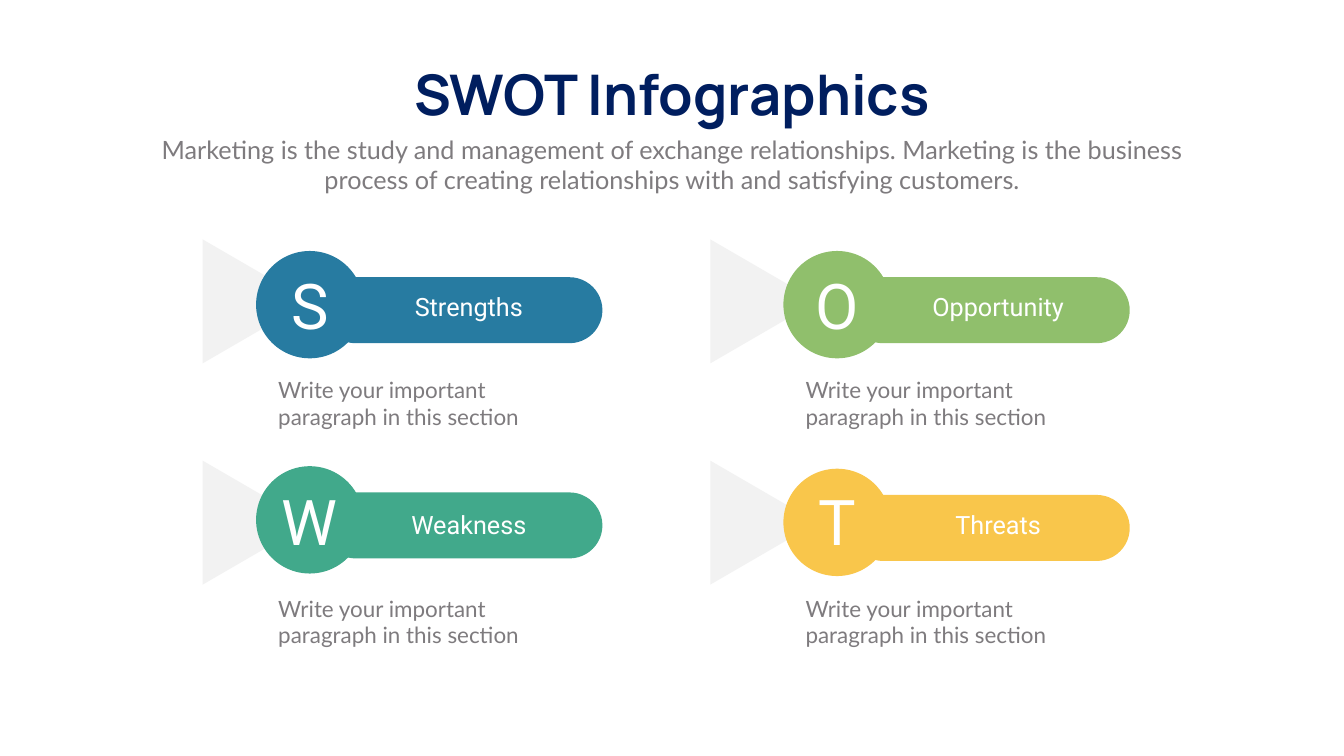
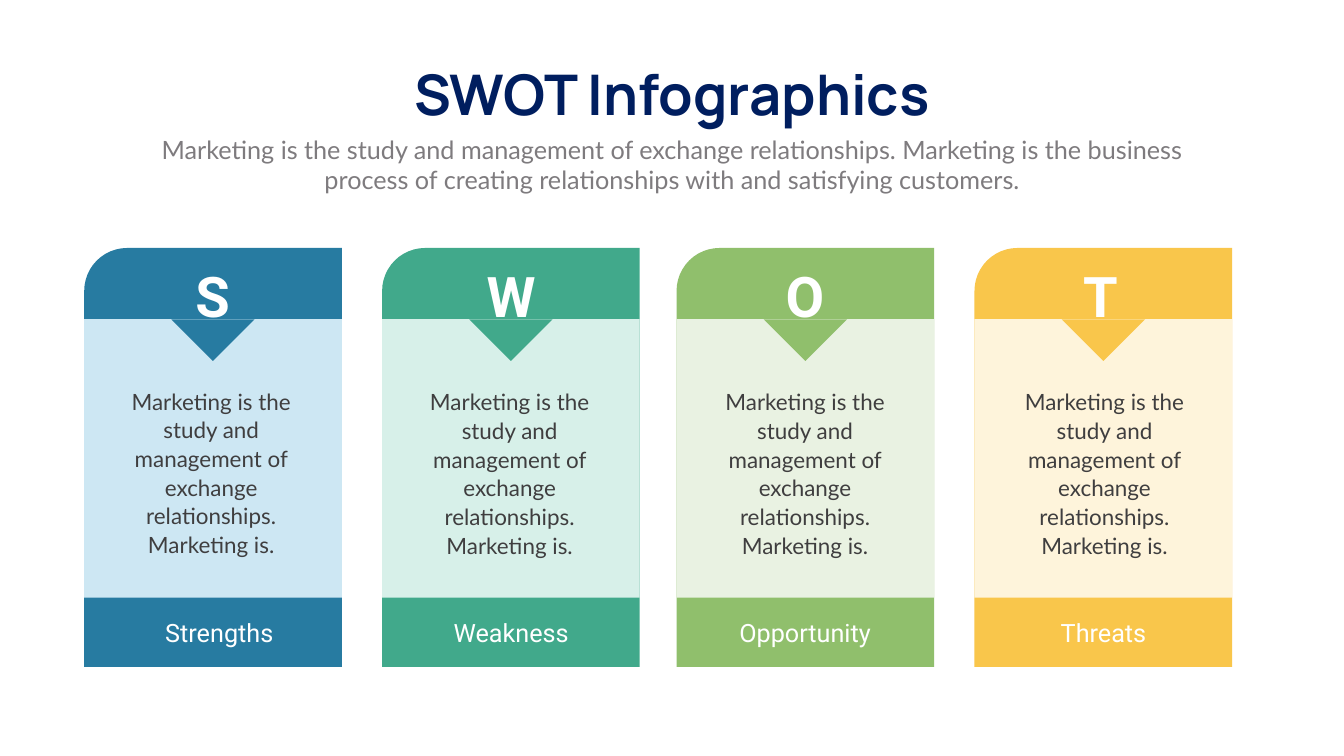
from dataclasses import dataclass

from pptx import Presentation
from pptx.dml.color import RGBColor
from pptx.enum.shapes import MSO_SHAPE
from pptx.enum.text import MSO_ANCHOR, MSO_AUTO_SIZE, PP_ALIGN
from pptx.oxml.ns import qn
from pptx.util import Inches, Pt

NAVY = RGBColor(0x00, 0x1E, 0x5F)
GREY = RGBColor(0x7E, 0x7B, 0x7E)
CHARCOAL = RGBColor(0x3F, 0x3E, 0x3F)
PALE_GREY = RGBColor(0xF2, 0xF2, 0xF2)
WHITE = RGBColor(0xFF, 0xFF, 0xFF)
BLUE = RGBColor(0x27, 0x7B, 0xA1)
TEAL = RGBColor(0x41, 0xA9, 0x8B)
GREEN = RGBColor(0x90, 0xBF, 0x6C)
YELLOW = RGBColor(0xF9, 0xC6, 0x4B)
PALE_BLUE = RGBColor(0xCD, 0xE7, 0xF3)
PALE_TEAL = RGBColor(0xD7, 0xF0, 0xE9)
PALE_GREEN = RGBColor(0xE9, 0xF2, 0xE2)
PALE_YELLOW = RGBColor(0xFE, 0xF4, 0xDB)

TITLE_FONT, BODY_FONT, LABEL_FONT = "Manrope", "Lato", "Roboto"

HEADING = "SWOT Infographics"
INTRO = ("Marketing is the study and management of exchange relationships. "
         "Marketing is the business process of creating relationships with "
         "and satisfying customers.")
NOTE = "Write your important paragraph in this section"
SUMMARY = ("Marketing is the study and management of exchange relationships. "
           "Marketing is.")


@dataclass
class Topic:
    name: str
    letter: str
    color: RGBColor
    tint: RGBColor


STRENGTHS = Topic("Strengths", "S", BLUE, PALE_BLUE)
WEAKNESS = Topic("Weakness", "W", TEAL, PALE_TEAL)
OPPORTUNITY = Topic("Opportunity", "O", GREEN, PALE_GREEN)
THREATS = Topic("Threats", "T", YELLOW, PALE_YELLOW)


class Deck:
    """Presentation style together with the slide being filled."""

    def __init__(self):
        self.presentation = Presentation()
        self.presentation.slide_width = Inches(26.66)
        self.presentation.slide_height = Inches(15)
        self.slide = None

    def start_slide(self):
        """Add a slide with the shared heading and introduction."""
        layout = self.presentation.slide_layouts[5]
        self.slide = self.presentation.slides.add_slide(layout)
        title = self.slide.shapes.title
        title.left, title.top = Inches(7.72), Inches(1.12)
        title.width, title.height = Inches(11.22), Inches(1.45)
        frame = title.text_frame
        frame.word_wrap = False
        frame.auto_size = MSO_AUTO_SIZE.NONE
        frame.vertical_anchor = MSO_ANCHOR.MIDDLE
        self.add_words(frame, HEADING, 80, TITLE_FONT, NAVY, bold=True)
        self.text(2.92, 2.61, 20.82, 1.31, INTRO, 36, BODY_FONT, GREY)

    def add_words(self, frame, words, size, font, color, bold=False,
                  align=PP_ALIGN.CENTER, spacing=None):
        paragraph = frame.paragraphs[0]
        paragraph.alignment = align
        if spacing:
            paragraph.line_spacing = Pt(spacing)
        run = paragraph.add_run()
        run.text = words
        run.font.size = Pt(size)
        run.font.name = font
        run.font.bold = bold
        run.font.color.rgb = color

    def text(self, left, top, width, height, words, size, font, color, **style):
        box = self.slide.shapes.add_textbox(
            Inches(left), Inches(top), Inches(width), Inches(height))
        box.text_frame.word_wrap = True
        box.text_frame.auto_size = MSO_AUTO_SIZE.SHAPE_TO_FIT_TEXT
        self.add_words(box.text_frame, words, size, font, color, **style)

    def label(self, left, top, words):
        self.text(left, top, 3.26, 0.71, words, 36, LABEL_FONT, WHITE)

    def shape(self, preset, left, top, width, height, color, rotation=0):
        shape = self.slide.shapes.add_shape(
            preset, Inches(left), Inches(top), Inches(width), Inches(height))
        shape.shadow.inherit = False
        shape.fill.solid()
        shape.fill.fore_color.rgb = color
        shape.line.fill.background()
        shape.rotation = rotation
        return shape

    def quadrant(self, topic, column, row, badge_top):
        """Draw a pointer, lettered badge, named bar and note."""
        pointer_left, badge_left, label_left, note_width = column
        pointer_top, letter_top, label_top, note_top = row
        inner_left = badge_left + 0.34
        self.shape(MSO_SHAPE.ISOSCELES_TRIANGLE, pointer_left, pointer_top,
                   2.46, 2.12, PALE_GREY, rotation=90)
        bar = self.shape(MSO_SHAPE.ROUNDED_RECTANGLE, badge_left + 1.32,
                         badge_top + 0.52, 5.55, 1.31, topic.color)
        bar.adjustments[0] = 0.5
        self.shape(MSO_SHAPE.OVAL, badge_left, badge_top, 2.13, 2.13, topic.color)
        self.text(inner_left, note_top, note_width, 1.18, NOTE, 32, BODY_FONT,
                  GREY, align=PP_ALIGN.LEFT)
        self.text(inner_left, letter_top, 1.45, 1.62, topic.letter, 90,
                  LABEL_FONT, WHITE)
        self.label(label_left, label_top, topic.name)

    def card(self, topic, left, letter_left, label_left, summary_left, summary_top):
        """Draw a rounded card with a notched header, summary and name."""
        width = 5.11
        back = self.shape(MSO_SHAPE.ROUND_1_RECTANGLE, left, 4.92, width, 8.31,
                          topic.color)
        back.element.spPr.find(qn("a:xfrm")).set("flipH", "1")
        self.shape(MSO_SHAPE.RECTANGLE, left, 6.33, width, 5.53, topic.tint)
        self.shape(MSO_SHAPE.RIGHT_TRIANGLE, left + 1.97, 5.75, 1.17, 1.17,
                   topic.color, rotation=315)
        self.text(letter_left, 5.14, 1.3, 1.45, topic.letter, 80, LABEL_FONT,
                  WHITE, bold=True)
        self.label(label_left, 12.19, topic.name)
        self.text(summary_left, summary_top, 3.8, 3.5, SUMMARY, 32, BODY_FONT,
                  CHARCOAL, spacing=41)


def build_quadrants(deck):
    left_column = (3.85, 5.08, 7.67, 6.18)
    right_column = (13.92, 15.54, 18.17, 6.15)
    top_row = (4.92, 5.24, 5.74, 7.41)
    bottom_row = (9.31, 9.53, 10.05, 11.75)
    deck.start_slide()
    deck.quadrant(STRENGTHS, left_column, top_row, 4.98)
    deck.quadrant(WEAKNESS, left_column, bottom_row, 9.25)
    deck.quadrant(OPPORTUNITY, right_column, top_row, 4.98)
    deck.quadrant(THREATS, right_column, bottom_row, 9.3)


def build_cards(deck):
    deck.start_slide()
    deck.card(STRENGTHS, 1.67, 3.57, 2.72, 2.29, 7.61)
    deck.card(WEAKNESS, 7.58, 9.49, 8.51, 8.21, 7.62)
    deck.card(OPPORTUNITY, 13.42, 15.32, 14.34, 14.07, 7.62)
    deck.card(THREATS, 19.33, 21.18, 20.26, 20.01, 7.62)


def main():
    deck = Deck()
    build_quadrants(deck)
    build_cards(deck)
    deck.presentation.save("out.pptx")


if __name__ == "__main__":
    main()
